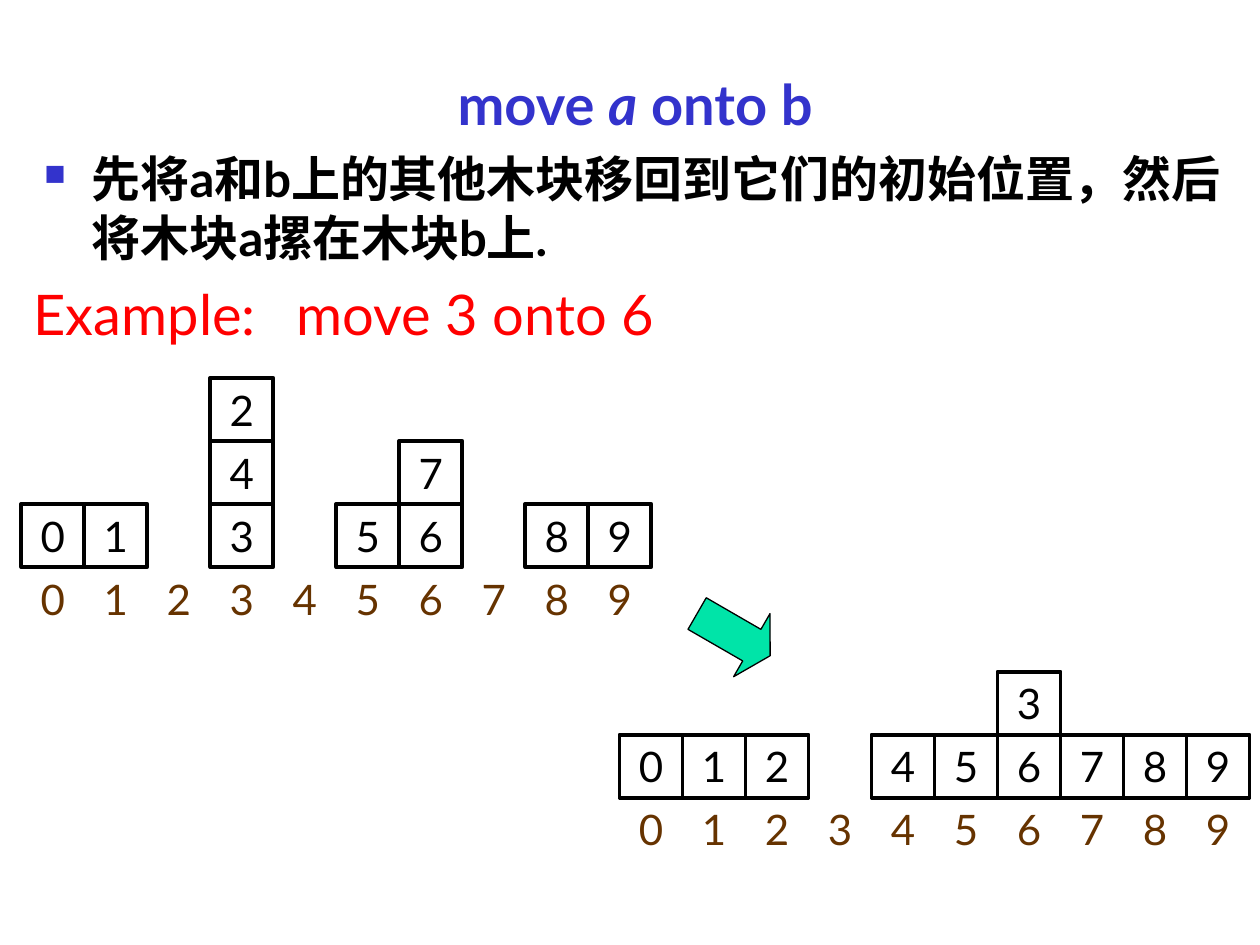
from dataclasses import dataclass

from lxml import etree
from pptx import Presentation
from pptx.dml.color import RGBColor
from pptx.enum import shapes, text
from pptx.oxml.ns import qn
from pptx.util import Cm, Pt


@dataclass(frozen=True)
class Theme:
    font: str = "Lato"
    heading: str = "3333CC"
    ink: str = "000000"
    example: str = "FF0000"
    index: str = "663300"
    arrow: str = "00E4A8"
    heading_size: float = 32
    body_size: float = 28
    block_size: float = 24
    block_line: float = 2.25
    arrow_line: float = 0.75


THEME = Theme()
BLOCK = 1.27  # side of one block, cm


def add_bullet(p, char, color, percent, indent):
    """Give a paragraph a coloured bullet with a hanging indent."""
    pPr = p._p.get_or_add_pPr()
    pPr.set("marL", str(Cm(indent)))
    pPr.set("indent", str(-Cm(indent)))
    clr = etree.SubElement(pPr, qn("a:buClr"))
    etree.SubElement(clr, qn("a:srgbClr"), val=color)
    etree.SubElement(pPr, qn("a:buSzPct"), val=str(percent * 1000))
    etree.SubElement(pPr, qn("a:buChar"), char=char)


def add_tab(p, pos):
    """Add one left tab stop to a paragraph."""
    tabs = etree.SubElement(p._p.get_or_add_pPr(), qn("a:tabLst"))
    etree.SubElement(tabs, qn("a:tab"), pos=str(Cm(pos)), algn="l")


def put_text(sp, *runs, size, color, bold=False, italics=(), wrap=True,
             align=text.PP_ALIGN.LEFT, anchor=text.MSO_ANCHOR.TOP):
    """Fill a shape with one paragraph; italics lists the runs to slant."""
    tf = sp.text_frame
    tf.auto_size = text.MSO_AUTO_SIZE.NONE
    tf.word_wrap = wrap
    tf.vertical_anchor = anchor
    tf.margin_left = tf.margin_right = Cm(0.25)
    tf.margin_top = tf.margin_bottom = Cm(0.13)
    p = tf.paragraphs[0]
    p.alignment = align
    for words in runs:
        r = p.add_run()
        r.text = words
        r.font.size = Pt(size)
        r.font.bold = bold
        r.font.italic = words in italics
        r.font.color.rgb = RGBColor.from_string(color)
        r.font.name = THEME.font
        etree.SubElement(r._r.get_or_add_rPr(), qn("a:ea"), typeface=THEME.font)
    return p


def add_heading(s, x, y, w, h):
    sp = s.shapes.title
    sp.left, sp.top, sp.width, sp.height = Cm(x), Cm(y), Cm(w), Cm(h)
    put_text(sp, "move ", "a", " onto b", italics=("a",), bold=True,
             size=THEME.heading_size, color=THEME.heading,
             align=text.PP_ALIGN.CENTER)


def add_rule(s, x, y, w, h):
    """Bulleted explanation of the command."""
    sp = s.shapes.add_textbox(Cm(x), Cm(y), Cm(w), Cm(h))
    p = put_text(sp, "先将a和b上的其他木块移回到它们的初始位置，然后将木块a摞在木块b上.",
                 size=THEME.body_size, color=THEME.ink, bold=True)
    add_bullet(p, "■", THEME.heading, 60, 0.96)


def add_example(s, x, y, w, h):
    sp = s.shapes.add_textbox(Cm(x), Cm(y), Cm(w), Cm(h))
    p = put_text(sp, "Example:\tmove 3 onto 6",
                 size=THEME.heading_size, color=THEME.example)
    add_tab(p, 5.3)


def add_stacks(s, x, y, stacks):
    """Row of stacks standing on y, listed bottom up, with indices below."""
    side = Cm(BLOCK)
    label = dict(size=THEME.block_size, wrap=False,
                 align=text.PP_ALIGN.CENTER, anchor=text.MSO_ANCHOR.MIDDLE)
    for i, stack in enumerate(stacks):
        left = Cm(x + i * BLOCK)
        for level, number in enumerate(stack, start=1):
            sp = s.shapes.add_shape(shapes.MSO_SHAPE.RECTANGLE, left,
                                    Cm(y - level * BLOCK), side, side)
            sp.shadow.inherit = False
            sp.fill.background()
            sp.line.color.rgb = RGBColor.from_string(THEME.ink)
            sp.line.width = Pt(THEME.block_line)
            put_text(sp, number, color=THEME.ink, **label)
        index = s.shapes.add_textbox(left, Cm(y), side, side)
        put_text(index, str(i), color=THEME.index, **label)


def add_step_arrow(s, x, y, w, h):
    sp = s.shapes.add_shape(shapes.MSO_SHAPE.RIGHT_ARROW,
                            Cm(x), Cm(y), Cm(w), Cm(h))
    sp.shadow.inherit = False
    sp.rotation = 30
    sp.adjustments[0], sp.adjustments[1] = 0.5, 0.29
    sp.fill.solid()
    sp.fill.fore_color.rgb = RGBColor.from_string(THEME.arrow)
    sp.line.color.rgb = RGBColor.from_string(THEME.ink)
    sp.line.width = Pt(THEME.arrow_line)


def main():
    prs = Presentation()
    prs.slide_width, prs.slide_height = Cm(25.4), Cm(19.05)
    s = prs.slides.add_slide(prs.slide_layouts[5])

    # Heading and explanation
    add_heading(s, 0.64, 1.27, 24.33, 1.6)
    add_rule(s, 0.64, 2.87, 24.33, 2.6)
    add_example(s, 0.43, 5.51, 20.32, 1.9)

    # Blocks before and after the move
    add_stacks(s, 0.43, 11.43, ["0", "1", "", "342", "", "5", "67", "", "8", "9"])
    add_step_arrow(s, 13.94, 12.06, 1.7, 1.47)
    add_stacks(s, 12.49, 16.08, ["0", "1", "2", "", "4", "5", "63", "7", "8", "9"])

    prs.save("out.pptx")


if __name__ == "__main__":
    main()
